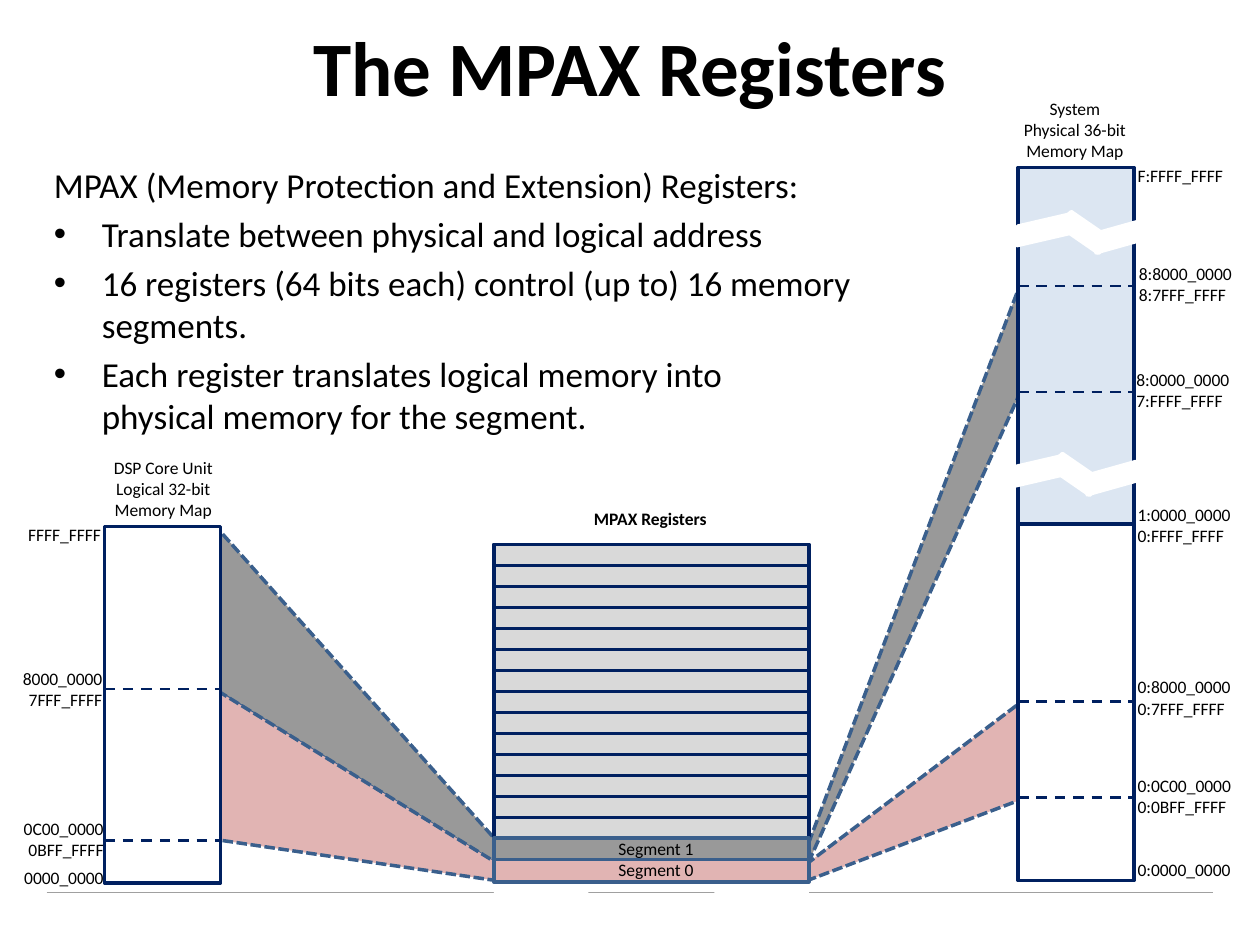
"""Build the MPAX Registers memory-mapping slide."""
from dataclasses import dataclass
from typing import Optional

from lxml import etree
from pptx import Presentation
from pptx.dml.color import RGBColor
from pptx.enum.dml import MSO_LINE
from pptx.enum.shapes import MSO_CONNECTOR, MSO_SHAPE
from pptx.enum.text import MSO_ANCHOR, PP_ALIGN
from pptx.oxml.ns import qn
from pptx.util import Inches, Pt

RECT, TRAPEZOID = MSO_SHAPE.RECTANGLE, MSO_SHAPE.TRAPEZOID
PARALLELOGRAM = MSO_SHAPE.PARALLELOGRAM
DASH, SYS_DASH = MSO_LINE.DASH, MSO_LINE.SQUARE_DOT
LEFT, CENTER, RIGHT = PP_ALIGN.LEFT, PP_ALIGN.CENTER, PP_ALIGN.RIGHT
MIDDLE = MSO_ANCHOR.MIDDLE
STRAIGHT = MSO_CONNECTOR.STRAIGHT

FONT = "Calibri"
WHITE, BLACK, NAVY, BLUE = "FFFFFF", "000000", "002060", "3A5F8C"
GRAY, PINK, SILVER, PALE = "999999", "E1B4B3", "D9D9D9", "DCE6F2"
RULE = "A0A0A0"

LOGICAL_X, REG_X, PHYSICAL_X = 0.83, 3.92, 8.08
MAP_W, MAP_H, REG_W, REG_Y, REG_H = 0.92, 2.83, 2.5, 4.32, 2.67
REG_COUNT = 16


@dataclass
class Block:
    left: float
    top: float
    width: float
    height: float
    fill: str
    line: Optional[str] = None
    kind: int = RECT
    rotation: float = 0
    adj: Optional[float] = None
    dash: Optional[int] = None


@dataclass
class Label:
    left: float
    top: float
    width: float
    lines: tuple
    align: int = LEFT
    bold: bool = False


BANDS = (
    Block(6.93, 4.9, 0.86, 3, PINK, BLUE, TRAPEZOID, 241.1, 0.52, SYS_DASH),
    Block(2.14, 3.71, 1.19, 4.11, GRAY, BLUE, TRAPEZOID, 130, 0.5, SYS_DASH),
    Block(2.21, 5.02, 1.24, 3, PINK, BLUE, TRAPEZOID, 110, 0.52, SYS_DASH),
    Block(7.15, 1.69, 0.38, 5.71, GRAY, BLUE, TRAPEZOID, 202.5, 0.46, SYS_DASH),
)
BAND_ENDS = (
    Block(5.67, 6.8, 0.75, 0.45, WHITE),
    Block(0.75, 4.67, 0.75, 0.4, WHITE),
    Block(REG_X, 6.7, 0.75, 0.45, WHITE),
    Block(0.5, 3.92, 1.26, 0.4, WHITE),
)
MAPS = (
    Block(LOGICAL_X, 4.18, MAP_W, MAP_H, WHITE, NAVY),
    Block(PHYSICAL_X, 4.16, MAP_W, MAP_H, WHITE, NAVY),
    Block(PHYSICAL_X, 1.33, MAP_W, MAP_H, PALE, NAVY),
    Block(REG_X, REG_Y, REG_W, REG_H, SILVER, NAVY),
)
SEGMENTS = (
    Block(REG_X, 6.65, REG_W, 0.18, GRAY, BLUE),
    Block(REG_X, 6.82, REG_W, 0.18, PINK, BLUE),
)
BREAK_ORIGINS = ((7.98, 3.67), (8.05, 1.75))
BREAK_PARTS = ((0.62, 0.05, 0.44, 344.3), (0, 0, 0.46, 347), (0.34, 0.02, 0.44, 214.6))
BOUNDARIES = {LOGICAL_X: (5.47, 6.67), PHYSICAL_X: (2.27, 3.11, 5.57, 6.33)}
LABELS = (
    Label(0.11, 4.11, 0.79, ("FFFF_FFFF",), RIGHT),
    Label(0.06, 5.25, 0.85, ("8000_0000", "7FFF_FFFF"), RIGHT),
    Label(0.04, 6.44, 0.88, ("0C00_0000", "0BFF_FFFF"), RIGHT),
    Label(0.07, 6.83, 0.85, ("0000_0000",), RIGHT),
    Label(8.93, 1.26, 0.89, ("F:FFFF_FFFF",)),
    Label(8.94, 2.04, 0.96, ("8:8000_0000", "8:7FFF_FFFF")),
    Label(8.92, 2.88, 0.96, ("8:0000_0000", "7:FFFF_FFFF")),
    Label(8.93, 3.95, 0.96, ("1:0000_0000", "0:FFFF_FFFF")),
    Label(8.93, 5.32, 0.96, ("0:8000_0000", "0:7FFF_FFFF")),
    Label(8.93, 6.1, 0.96, ("0:0C00_0000", "0:0BFF_FFFF")),
    Label(8.93, 6.77, 0.96, ("0:0000_0000",)),
    Label(0.8, 3.58, 0.99, ("DSP Core Unit", "Logical 32-bit", "Memory Map"), CENTER),
    Label(8.02, 0.73, 1.02, ("System", "Physical 36-bit", "Memory Map"), CENTER),
    Label(4.81, 6.6, 0.81, ("Segment 1", "Segment 0")),
    Label(4.6, 3.98, 1.12, ("MPAX Registers",), CENTER, True),
)
INTRO = "MPAX (Memory Protection and Extension) Registers:"
BULLETS = (
    "Translate between physical and logical address",
    "16 registers (64 bits each) control (up to) 16 memory segments.",
    "Each register translates logical memory into\vphysical memory for the segment.",
)


def rgb(value: str) -> RGBColor:
    return RGBColor.from_string(value)


def format_runs(p, size: float, bold: bool = False) -> None:
    for r in p.runs:
        r.font.name, r.font.size, r.font.bold = FONT, Pt(size), bold
        r.font.color.rgb = rgb(BLACK)


def add_block(s, block: Block) -> None:
    sp = s.shapes.add_shape(block.kind, Inches(block.left), Inches(block.top),
                            Inches(block.width), Inches(block.height))
    sp.shadow.inherit = False
    sp.rotation = block.rotation
    if block.adj is not None:
        sp.adjustments[0] = block.adj
    sp.fill.solid()
    sp.fill.fore_color.rgb = rgb(block.fill)
    if block.line is None:
        sp.line.fill.background()
        return
    sp.line.color.rgb = rgb(block.line)
    sp.line.width = Pt(2)
    if block.dash is not None:
        sp.line.dash_style = block.dash


def add_rule(s, x: float, y: float, width: float, color: str = NAVY,
             weight: float = 1.5, dash: Optional[int] = None) -> None:
    line = s.shapes.add_connector(STRAIGHT, Inches(x), Inches(y), Inches(x + width), Inches(y))
    line.line.color.rgb = rgb(color)
    line.line.width = Pt(weight)
    if dash is not None:
        line.line.dash_style = dash
    etree.SubElement(line._element.spPr, qn("a:effectLst"))


def add_label(s, label: Label) -> None:
    height = 0.1 + 0.17 * len(label.lines)
    tf = s.shapes.add_textbox(Inches(label.left), Inches(label.top),
                              Inches(label.width), Inches(height)).text_frame
    tf.word_wrap = False
    tf.text = "\n".join(label.lines)
    for p in tf.paragraphs:
        p.alignment = label.align
        format_runs(p, 10, label.bold)


def add_title(s) -> None:
    sp = s.shapes.title
    sp.left, sp.top, sp.width, sp.height = Inches(0.5), Inches(0.13), Inches(9), Inches(0.78)
    tf = sp.text_frame
    tf.text = "The MPAX Registers"
    tf.vertical_anchor = MIDDLE
    tf.paragraphs[0].alignment = CENTER
    format_runs(tf.paragraphs[0], 44, True)


def add_body(s) -> None:
    tf = s.shapes.add_textbox(Inches(0.33), Inches(1.25), Inches(7.58), Inches(3.08)).text_frame
    tf.word_wrap = True
    tf.text = INTRO
    format_runs(tf.paragraphs[0], 20)
    for text in BULLETS:
        p = tf.add_paragraph()
        p.text = text
        p.space_before = Pt(4)
        pPr = p._p.get_or_add_pPr()
        pPr.set("marL", str(Inches(0.38)))
        pPr.set("indent", str(-Inches(0.38)))
        etree.SubElement(pPr, qn("a:buFont"), typeface="Arial")
        etree.SubElement(pPr, qn("a:buChar"), char="•")
        format_runs(p, 20)


def main() -> None:
    prs = Presentation()
    prs.slide_width, prs.slide_height = Inches(10), Inches(7.5)
    s = prs.slides.add_slide(prs.slide_layouts[5])
    add_rule(s, 0.37, 7.08, 9.26, RULE, 0.5)
    add_title(s)
    add_body(s)
    for block in BANDS + BAND_ENDS + MAPS:
        add_block(s, block)
    for i in range(1, REG_COUNT):
        add_rule(s, REG_X, REG_Y + i * REG_H / REG_COUNT, REG_W)
    for x, levels in BOUNDARIES.items():
        for y in levels:
            add_rule(s, x, y, MAP_W, dash=DASH)
    for x, y in BREAK_ORIGINS:
        for dx, dy, width, angle in BREAK_PARTS:
            add_block(s, Block(x + dx, y + dy, width, 0.15, WHITE, WHITE, PARALLELOGRAM, angle))
    for block in SEGMENTS:
        add_block(s, block)
    for label in LABELS:
        add_label(s, label)
    prs.save("out.pptx")


if __name__ == "__main__":
    main()
